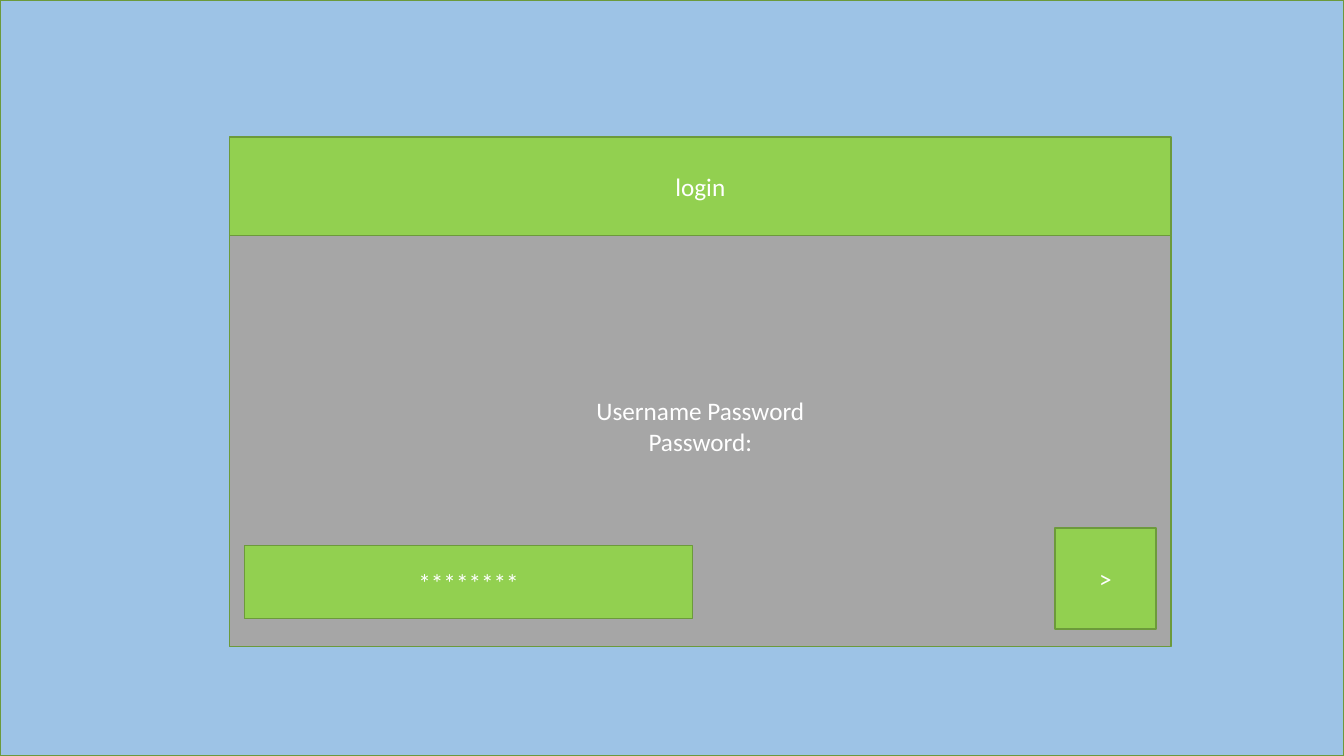
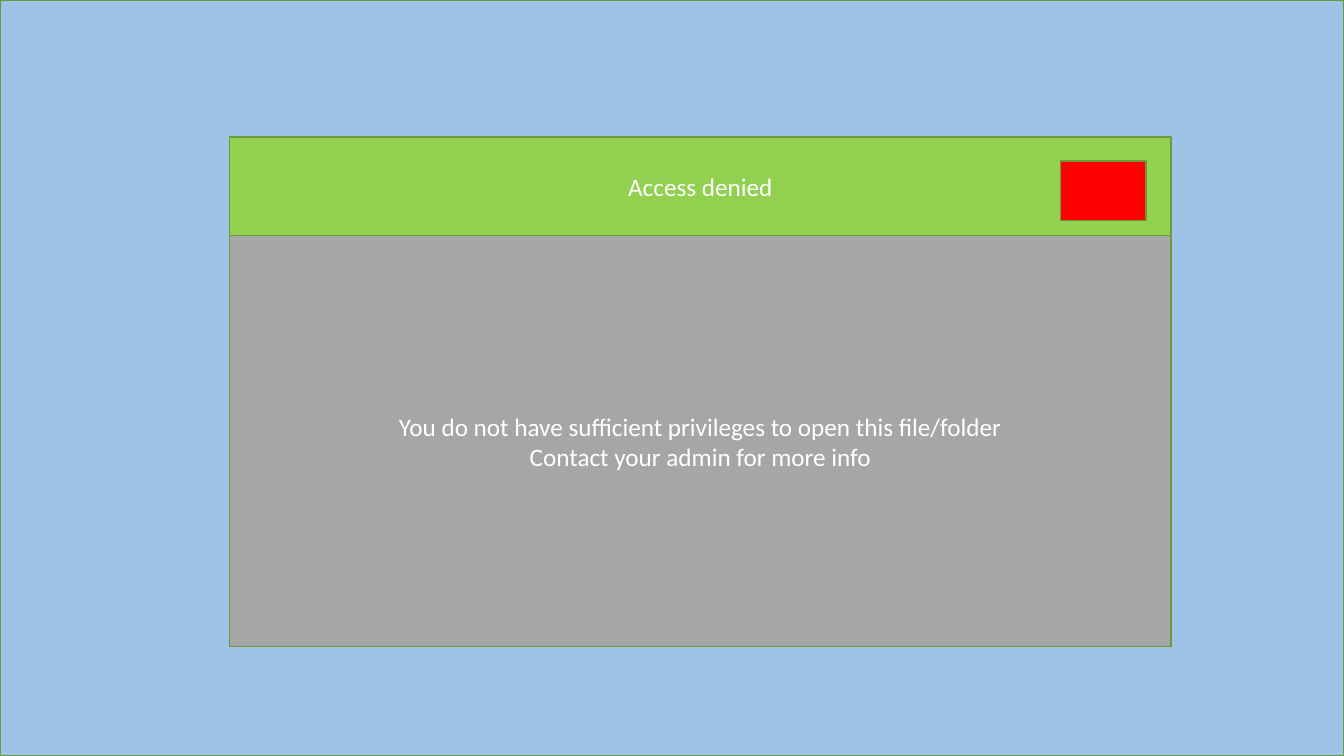
import pptx
import pptx.dml.color
import pptx.enum.shapes
import pptx.enum.text
import pptx.util

Cm = pptx.util.Cm
Pt = pptx.util.Pt
RGBColor = pptx.dml.color.RGBColor

SKY = RGBColor(0x9D, 0xC3, 0xE6)
GREY = RGBColor(0xA6, 0xA6, 0xA6)
GREEN = RGBColor(0x92, 0xD0, 0x50)
RED = RGBColor(0xFF, 0x00, 0x00)
EDGE = RGBColor(0x6C, 0x9A, 0x3B)
WHITE = RGBColor(0xFF, 0xFF, 0xFF)
FONT = "Calibri"

# Lengths in centimetres; areas are left, top, width, height
PAGE_SIZE = (33.87, 19.05)
WINDOW_LEFT, WINDOW_TOP, WINDOW_WIDTH = 5.79, 3.45, 23.72
BAR_HEIGHT, BODY_HEIGHT = 2.49, 10.36
BAR = (WINDOW_LEFT, WINDOW_TOP, WINDOW_WIDTH, BAR_HEIGHT)
BODY = (WINDOW_LEFT, WINDOW_TOP + BAR_HEIGHT, WINDOW_WIDTH, BODY_HEIGHT)
INSET = 0.13

WINDOWS = [
    {
        "title": "login",
        "message": ["Username Password", "Password:"],
        "message_lift": 0.77,
        "controls": [
            ("********", GREEN, (6.17, 13.74, 11.28, 1.85)),
            (">", GREEN, (26.59, 13.31, 2.54, 2.54)),
        ],
    },
    {
        "title": "Access denied",
        "message": [
            "You do not have sufficient privileges to open this file/folder",
            "Contact your admin for more info",
        ],
        "message_lift": 0,
        "controls": [("", RED, (26.72, 4.06, 2.16, 1.5))],
    },
]


def style_box(box, area, fill, text=""):
    box.left, box.top, box.width, box.height = (Cm(length) for length in area)
    box.fill.solid()
    box.fill.fore_color.rgb = fill
    box.line.color.rgb = EDGE
    box.line.width = Pt(1)
    if not text:
        return
    frame = box.text_frame
    frame.text = text
    frame.word_wrap = True
    frame.auto_size = pptx.enum.text.MSO_AUTO_SIZE.NONE
    frame.vertical_anchor = pptx.enum.text.MSO_ANCHOR.MIDDLE
    for para in frame.paragraphs:
        para.alignment = pptx.enum.text.PP_ALIGN.CENTER
        for span in para.runs:
            span.font.name = FONT
            span.font.size = Pt(18)
            span.font.color.rgb = WHITE


def add_box(page, area, fill, text=""):
    rectangle = pptx.enum.shapes.MSO_SHAPE.RECTANGLE
    box = page.shapes.add_shape(rectangle, 0, 0, 0, 0)
    box.shadow.inherit = False
    style_box(box, area, fill, text)
    return box


def add_window(deck, window):
    page = deck.slides.add_slide(deck.slide_layouts.get_by_name("Title Only"))
    add_box(page, (0, 0, *PAGE_SIZE), SKY)
    body = add_box(page, BODY, GREY, "\n".join(window["message"]))
    body.text_frame.margin_bottom = Cm(INSET + window["message_lift"])

    title = page.shapes.title
    style_box(title, BAR, GREEN, window["title"])
    # Bring the title bar in front of the backdrop
    title.element.getparent().append(title.element)

    for text, fill, area in window["controls"]:
        add_box(page, area, fill, text)


def main():
    deck = pptx.Presentation()
    deck.slide_width, deck.slide_height = (Cm(length) for length in PAGE_SIZE)
    for window in WINDOWS:
        add_window(deck, window)
    deck.save("out.pptx")


if __name__ == "__main__":
    main()
